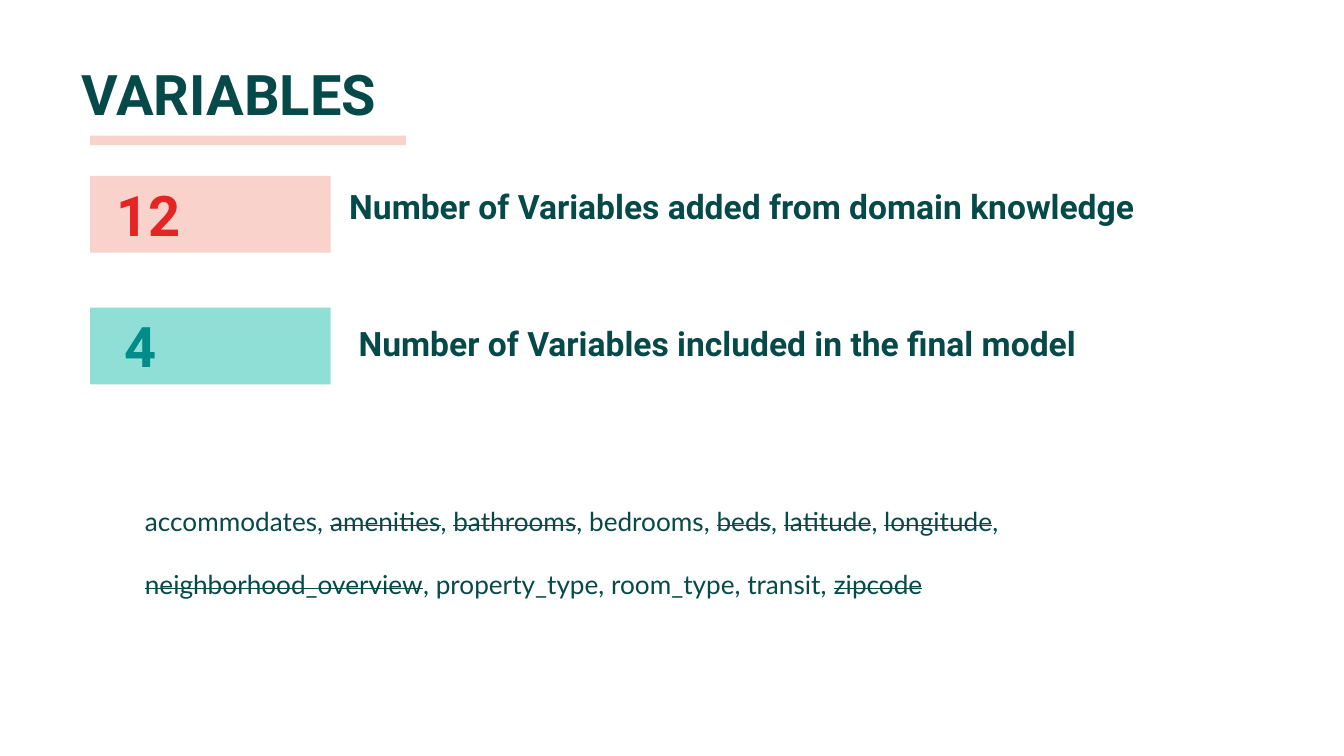
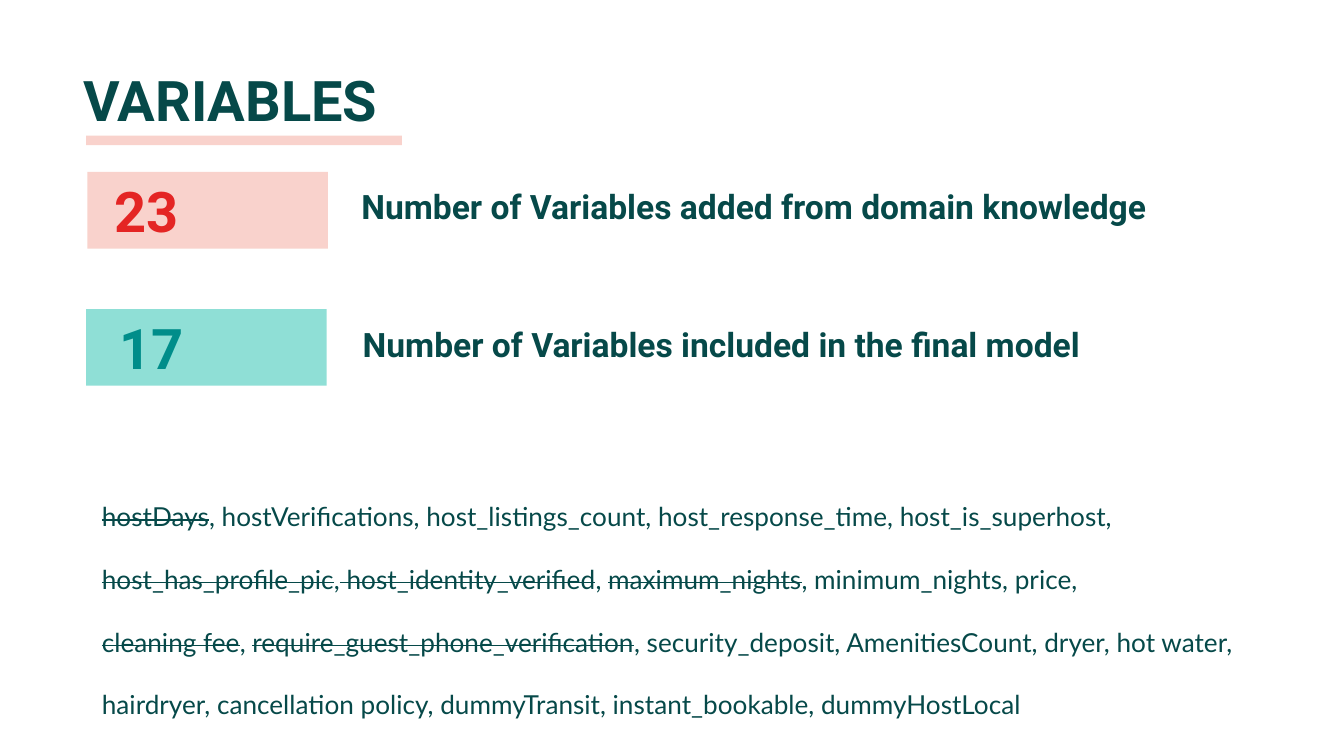
from lxml import etree
from pptx import Presentation
from pptx import util as u
from pptx.dml.color import RGBColor
from pptx.enum import shapes, text
from pptx.oxml import ns

DARK, RED, TEAL = "064949", "E42524", "008D8A"
PINK, MINT = "F4AA9E", "8FDFD6"
ADDED = "Number of Variables added from domain knowledge"
INCLUDED = "Number of Variables included in the final model"


def color(value):
    return RGBColor.from_string(value)


def add_bar(slide, left, top, width, height, fill, alpha=None):
    sp = slide.shapes.add_shape(
        shapes.MSO_SHAPE.RECTANGLE, *map(u.Inches, (left, top, width, height)))
    sp.shadow.inherit = False
    sp.fill.solid()
    sp.fill.fore_color.rgb = color(fill)
    sp.line.fill.background()
    if alpha:
        clr = sp._element.spPr.find(".//" + ns.qn("a:srgbClr"))
        etree.SubElement(clr, ns.qn("a:alpha")).set("val", str(alpha * 1000))


def add_box(slide, box, anchor):
    tf = slide.shapes.add_textbox(*map(u.Inches, box)).text_frame
    tf.word_wrap = True
    tf.vertical_anchor = anchor
    tf.margin_left = tf.margin_right = u.Inches(0.1)
    tf.margin_top = tf.margin_bottom = u.Inches(0.1)
    return tf


def style(r, size, name, rgb, bold=False):
    r.font.size = u.Pt(size)
    r.font.name = name
    r.font.color.rgb = color(rgb)
    r.font.bold = bold


def add_heading(slide, box, words, size, rgb, anchor=text.MSO_ANCHOR.BOTTOM):
    tf = add_box(slide, box, anchor)
    tf.text = words
    style(tf.paragraphs[0].runs[0], size, "Roboto", rgb, True)


def add_title(slide, left, top, bar_left):
    add_heading(slide, (left, top, 3.15, 0.63), "VARIABLES", 30, DARK,
                text.MSO_ANCHOR.TOP)
    add_bar(slide, bar_left, 1.01, 2.35, 0.07, PINK, 52)


def add_count(slide, bar, number, number_box, label, label_box, fill, rgb,
              alpha=None):
    add_bar(slide, *bar, 1.79, 0.57, fill, alpha)
    add_heading(slide, (*number_box, 0.69), number, 30, rgb)
    add_heading(slide, (*label_box, 0.45), label, 18, DARK)


def add_variables(slide, box, paragraphs):
    tf = add_box(slide, box, text.MSO_ANCHOR.TOP)
    for i, words in enumerate(paragraphs):
        p = tf.add_paragraph() if i else tf.paragraphs[0]
        p.line_spacing = 2.0
        for j, part in enumerate(words.split("~")):
            if not part:
                continue
            r = p.add_run()
            r.text = part
            style(r, 14, "Lato", DARK)
            if j % 2:
                r._r.get_or_add_rPr().set("strike", "sngStrike")


def add_slide(prs):
    return prs.slides.add_slide(prs.slide_layouts[6])


def main():
    prs = Presentation()
    prs.slide_width = u.Inches(10)
    prs.slide_height = u.Inches(10 * 9 / 16)

    slide = add_slide(prs)
    add_title(slide, 0.51, 0.34, 0.67)
    add_count(slide, (0.67, 1.31), "12", (0.77, 1.25, 0.7),
              ADDED, (2.5, 1.33, 7.35), PINK, RED, 52)
    add_count(slide, (0.67, 2.29), "4", (0.83, 2.23, 0.58),
              INCLUDED, (2.57, 2.35, 6.88), MINT, TEAL)
    add_variables(slide, (0.98, 3.43, 8.87, 1.05), [
        "accommodates, ~amenities~, ~bathrooms~, bedrooms, ~beds~, "
        "~latitude~, ~longitude~,",
        "~neighborhood_overview~, property_type, room_type, transit, "
        "~zipcode~",
    ])

    slide = add_slide(prs)
    add_title(slide, 0.52, 0.39, 0.64)
    add_count(slide, (0.65, 1.28), "23", (0.75, 1.22, 1.71),
              ADDED, (2.59, 1.33, 7.35), PINK, RED, 52)
    add_count(slide, (0.64, 2.3), "17", (0.79, 2.24, 1.51),
              INCLUDED, (2.6, 2.36, 6.88), MINT, TEAL)
    add_variables(slide, (0.66, 3.39, 8.68, 2.07), [
        "~hostDays~, hostVerifications, host_listings_count, "
        "host_response_time, host_is_superhost, ~host_has_profile_pic~,"
        "~ host_identity_verified~, ~maximum_nights~, minimum_nights, price,",
        "~cleaning fee~, ~require_guest_phone_verification~, "
        "security_deposit, AmenitiesCount, dryer, hot water, hairdryer, "
        "cancellation policy, dummyTransit, instant_bookable, dummyHostLocal",
    ])

    prs.save("out.pptx")


if __name__ == "__main__":
    main()
